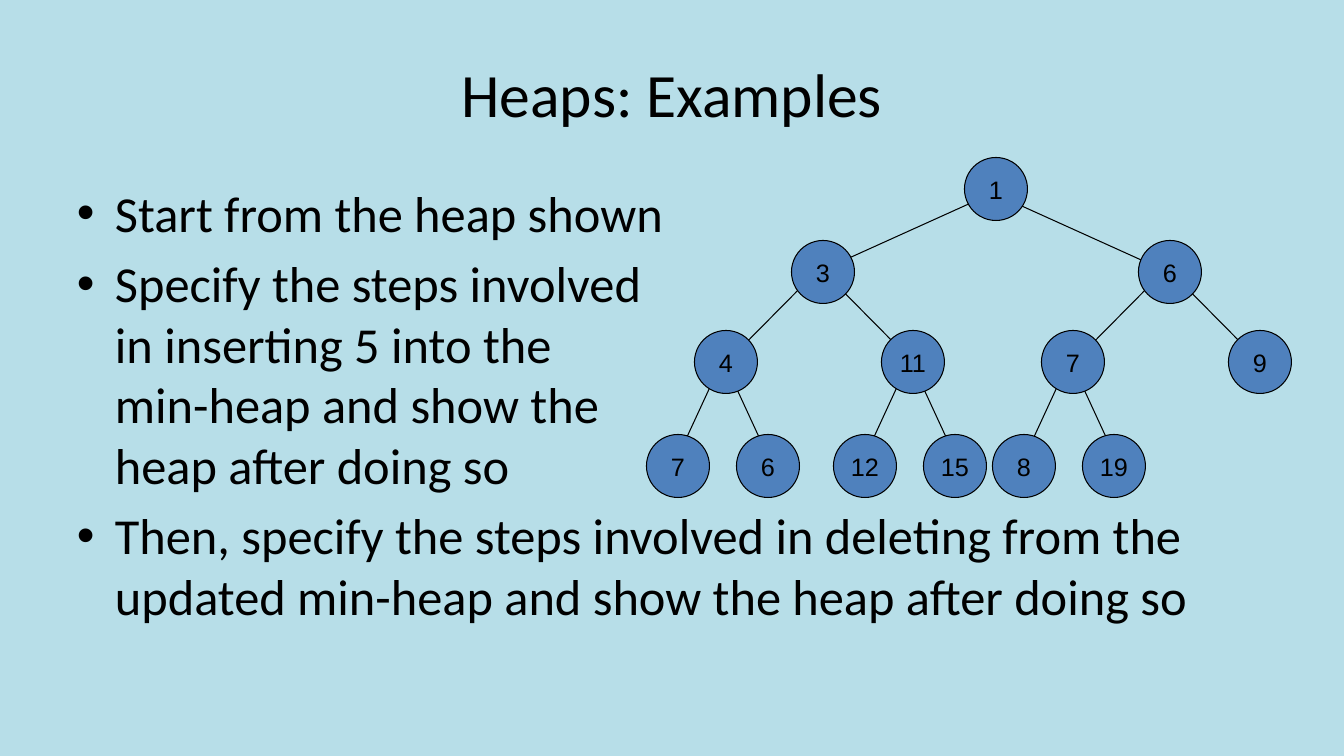
from lxml.etree import SubElement
from pptx import Presentation
from pptx.dml.color import RGBColor
from pptx.enum.shapes import MSO_CONNECTOR as CONNECTOR, MSO_SHAPE as SHAPE
from pptx.enum.text import MSO_ANCHOR as ANCHOR, PP_ALIGN as ALIGN
from pptx.oxml.ns import qn
from pptx.util import Pt

TITLE = "Heaps: Examples"
STEPS = [
    "Start from the heap shown",
    "Specify the steps involved\vin inserting 5 into the\vmin-heap and show the\vheap after doing so",
    "Then, specify the steps involved in deleting from the updated min-heap "
    "and show the heap after doing so",
]
HEAP = [1, 3, 6, 4, 11, 7, 9, 7, 6, 12, 15, 8, 19]
NODE_X = [996, 823, 1170, 726, 913, 1073, 1260, 678, 768, 865, 955, 1024, 1114]
LEVEL_Y = [189, 272, 362, 466]
EDGE_Y = [193, 268, 359, 463]
EDGE_SPREAD = [166, 90, 48]
EDGE_SHIFT = 3
NODE_SIZE = 63
INDENT = 38

COLORS = {"background": "B7DEE8", "node": "4F81BD", "ink": "000000"}
EMU_PER_PX = 914400 / 100.8


def px(length):
    return round(length * EMU_PER_PX)


def color(name):
    return RGBColor.from_string(COLORS[name])


def style(paragraph, face, size):
    paragraph.font.name = face
    paragraph.font.size = Pt(size)
    paragraph.font.color.rgb = color("ink")


def add_text(left, top, width, height, anchor):
    frame = slide.shapes.add_textbox(px(left), px(top), px(width), px(height)).text_frame
    frame.word_wrap = True
    frame.vertical_anchor = anchor
    return frame


def add_bullet(paragraph):
    props = paragraph._p.get_or_add_pPr()
    props.set("marL", str(px(INDENT)))
    props.set("indent", str(-px(INDENT)))
    SubElement(props, qn("a:buFont")).set("typeface", "Arial")
    SubElement(props, qn("a:buChar")).set("char", "•")


def add_edge(x1, y1, x2, y2):
    edge = slide.shapes.add_connector(CONNECTOR.STRAIGHT, px(x1), px(y1), px(x2), px(y2))
    edge.line.color.rgb = color("ink")
    edge.line.width = Pt(0.75)
    SubElement(edge._element.spPr, qn("a:effectLst"))


def add_node(key, x, y):
    corner = px(x - NODE_SIZE / 2), px(y - NODE_SIZE / 2)
    node = slide.shapes.add_shape(SHAPE.OVAL, *corner, px(NODE_SIZE), px(NODE_SIZE))
    node.shadow.inherit = False
    node.fill.solid()
    node.fill.fore_color.rgb = color("node")
    node.line.color.rgb = color("ink")
    node.line.width = Pt(0.75)
    frame = node.text_frame
    frame.word_wrap = False
    frame.vertical_anchor = ANCHOR.MIDDLE
    label = frame.paragraphs[0]
    label.text = str(key)
    label.alignment = ALIGN.CENTER
    style(label, "Arial", 18)


deck = Presentation()
deck.slide_width, deck.slide_height = px(1344), px(756)
slide = deck.slides.add_slide(deck.slide_layouts[6])
slide.background.fill.solid()
slide.background.fill.fore_color.rgb = color("background")

title = add_text(67, 30, 1210, 126, ANCHOR.MIDDLE).paragraphs[0]
title.text = TITLE
title.alignment = ALIGN.CENTER
style(title, "Calibri", 44)

steps = add_text(67, 177, 1189, 499, ANCHOR.TOP)
for number, text in enumerate(STEPS):
    step = steps.add_paragraph() if number else steps.paragraphs[0]
    step.text = text
    if number:
        step.space_before = Pt(7.2)
    add_bullet(step)
    style(step, "Calibri", 36)

levels = [(i + 1).bit_length() - 1 for i in range(len(HEAP))]
for child in range(1, len(HEAP)):
    parent = (child - 1) // 2
    level = levels[parent]
    side = -1 if child % 2 else 1
    start = NODE_X[parent] - EDGE_SHIFT
    add_edge(start, EDGE_Y[level], start + side * EDGE_SPREAD[level], EDGE_Y[level + 1])

for key, x, level in zip(HEAP, NODE_X, levels):
    add_node(key, x, LEVEL_Y[level])

deck.save("out.pptx")
